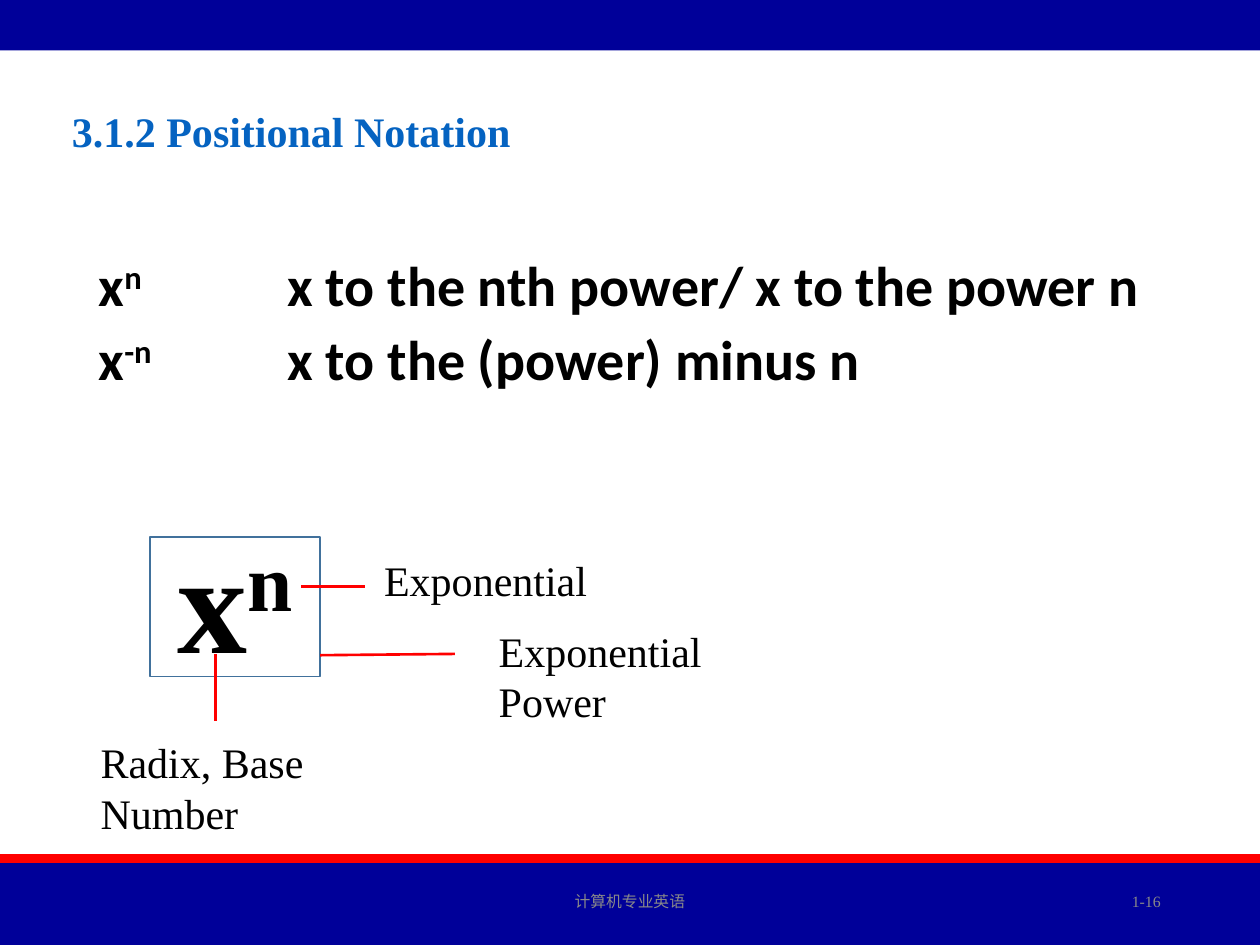
import pptx
import pptx.util
import pptx.dml.color
import pptx.enum.shapes
import pptx.enum.text
import pptx.oxml.ns
from lxml import etree

Pt = pptx.util.Pt
RGBColor = pptx.dml.color.RGBColor
PP_ALIGN = pptx.enum.text.PP_ALIGN
MSO_ANCHOR = pptx.enum.text.MSO_ANCHOR
MSO_AUTO_SIZE = pptx.enum.text.MSO_AUTO_SIZE
qn = pptx.oxml.ns.qn

NAVY = RGBColor(0x00, 0x00, 0x99)
RED = RGBColor(0xFF, 0x00, 0x00)
BLUE = RGBColor(0x05, 0x63, 0xC1)
STEEL = RGBColor(0x41, 0x71, 0x9C)
GREY = RGBColor(0x89, 0x89, 0x89)
BLACK = RGBColor(0x00, 0x00, 0x00)

SERIF = "Times New Roman"
SANS = "Calibri"


def add_text(p, text, size=24, font=SERIF, color=BLACK, bold=False, raised=False):
    r = p.add_run()
    r.text = text
    r.font.size = Pt(size)
    r.font.name = font
    r.font.color.rgb = color
    r.font.bold = bold
    if raised:
        r.font._element.set("baseline", "30000")


def add_box(s, x, y, w, h, align=PP_ALIGN.LEFT, anchor=MSO_ANCHOR.TOP, wrap=True):
    tf = s.shapes.add_textbox(Pt(x), Pt(y), Pt(w), Pt(h)).text_frame
    tf.word_wrap = wrap
    tf.auto_size = MSO_AUTO_SIZE.NONE if wrap else MSO_AUTO_SIZE.SHAPE_TO_FIT_TEXT
    tf.vertical_anchor = anchor
    tf.paragraphs[0].alignment = align
    return tf


def add_rect(s, x, y, w, h, fill=None, line=None):
    sp = s.shapes.add_shape(pptx.enum.shapes.MSO_SHAPE.RECTANGLE,
                            Pt(x), Pt(y), Pt(w), Pt(h))
    sp.shadow.inherit = False
    if fill is None:
        sp.fill.background()
    else:
        sp.fill.solid()
        sp.fill.fore_color.rgb = fill
    if line is None:
        sp.line.fill.background()
    else:
        sp.line.color.rgb = line
        sp.line.width = Pt(1)


def add_line(s, x1, y1, x2, y2):
    c = s.shapes.add_connector(pptx.enum.shapes.MSO_CONNECTOR.STRAIGHT,
                               Pt(x1), Pt(y1), Pt(x2), Pt(y2))
    c.line.color.rgb = RED
    c.line.width = Pt(1.5)
    etree.SubElement(c._element.spPr, qn("a:effectLst"))


def add_title(s, text):
    sp = s.shapes.title
    sp.left, sp.top, sp.width, sp.height = Pt(33.84), Pt(56.6), Pt(617.76), Pt(36)
    tf = sp.text_frame
    tf.auto_size = MSO_AUTO_SIZE.NONE
    tf.vertical_anchor = MSO_ANCHOR.TOP
    p = tf.paragraphs[0]
    p.alignment = PP_ALIGN.LEFT
    add_text(p, text, color=BLUE, bold=True)


def add_readings(s, readings):
    tf = add_box(s, 49.3, 144, 621.36, 342.72)
    for i, (power, reading) in enumerate(readings):
        p = tf.add_paragraph() if i else tf.paragraphs[0]
        # One tab stop for the second column
        tabs = etree.SubElement(p._p.get_or_add_pPr(), qn("a:tabLst"))
        etree.SubElement(tabs, qn("a:tab"), pos=str(Pt(108)), algn="l")
        p.line_spacing = 0.9
        p.space_before = Pt(7.5 if i else 0)
        fmt = dict(size=32, font=SANS, bold=True)
        add_text(p, "x", **fmt)
        add_text(p, power, raised=True, **fmt)
        add_text(p, "\t" + reading, **fmt)


def main():
    prs = pptx.Presentation()
    prs.slide_width, prs.slide_height = Pt(720), Pt(540)
    s = prs.slides.add_slide(prs.slide_layouts[5])

    # Bands at top and bottom
    add_rect(s, 0, 0, 720, 28.8, fill=NAVY)
    add_rect(s, 0, 488.16, 720, 5.04, fill=RED)
    add_rect(s, 0, 493.2, 720, 46.8, fill=NAVY)

    # Title and how the powers are read
    add_title(s, "3.1.2 Positional Notation")
    add_readings(s, [("n", "x to the nth power/ x to the power n"),
                     ("-n", "x to the (power) minus n")])

    # Footer and page number
    for text, x, w, align in [("计算机专业英语", 238.6, 242.64, PP_ALIGN.CENTER),
                              ("1-16", 508.32, 162, PP_ALIGN.RIGHT)]:
        tf = add_box(s, x, 500.4, w, 28.8, align=align, anchor=MSO_ANCHOR.MIDDLE)
        add_text(tf.paragraphs[0], text, size=9, color=GREY)

    # Framed power
    p = add_box(s, 94.32, 289.9, 132.48, 103.68).paragraphs[0]
    add_text(p, "x", size=80, bold=True)
    add_text(p, "n", size=80, bold=True, raised=True)
    add_rect(s, 85.68, 306.72, 97.2, 79.92, line=STEEL)

    # Names of its parts, each with a leader line
    for text, box, leader in [
            ("Radix, Base Number", (50.4, 417.6, 214.56), (123.12, 373.68, 123.12, 411.84)),
            ("Exponential", (212.4, 313.6, 130.32), (172.08, 335, 208.8, 335)),
            ("Exponential Power", (277.92, 353.9, 197.28), (182.88, 374.4, 259.92, 373.68))]:
        add_line(s, *leader)
        add_text(add_box(s, *box, 36, wrap=False).paragraphs[0], text)

    prs.save("out.pptx")


if __name__ == "__main__":
    main()
